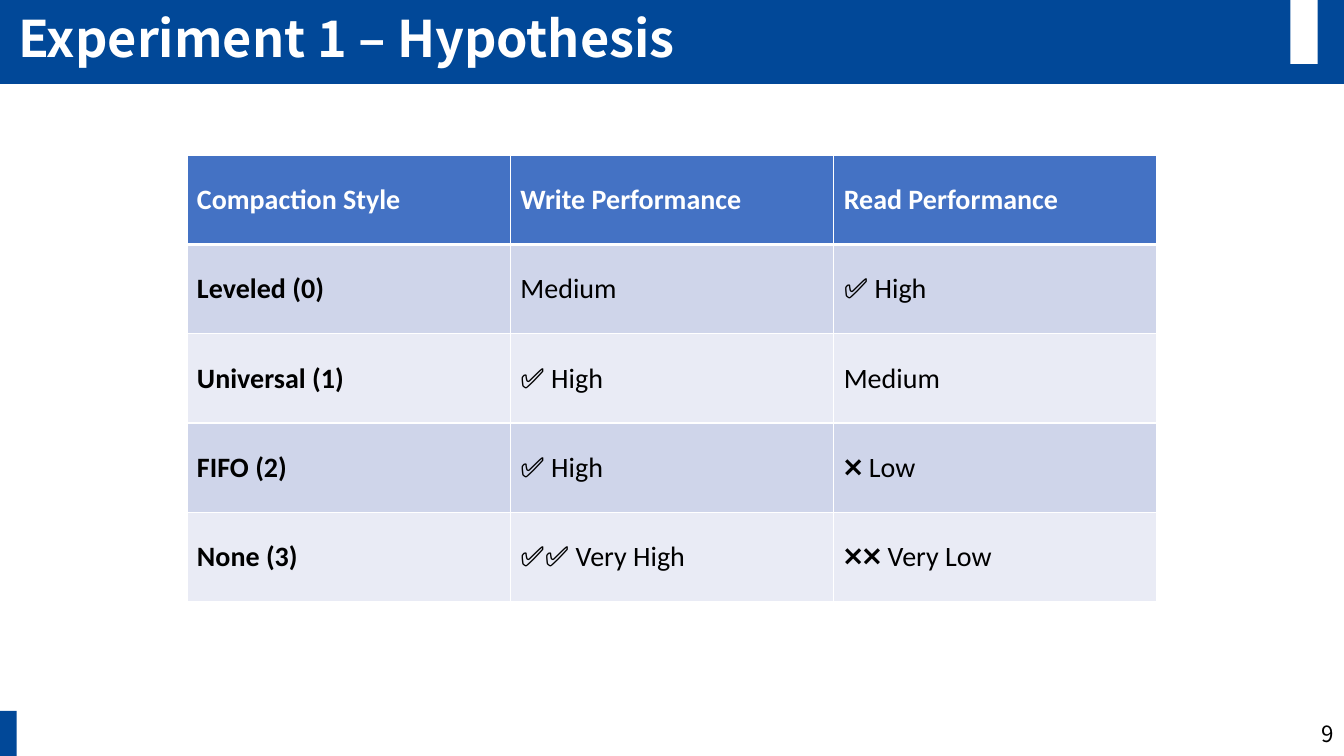
from lxml.etree import SubElement
from pptx import Presentation
from pptx.dml.color import RGBColor
from pptx.enum.shapes import MSO_SHAPE
from pptx.enum.text import MSO_ANCHOR, PP_ALIGN
from pptx.oxml.ns import qn
from pptx.util import Pt

PX = 9525  # EMU per px, 96 px to the inch
BLUE, WHITE, BLACK = "014898", "FFFFFF", "000000"
HEADER, BANDS = "4472C4", ("E9EBF5", "CFD5EA")
HEADING_FONT, TABLE_FONT = "Noto Sans CJK KR", "Calibri"


def color(hex_value):
    return RGBColor.from_string(hex_value)


def write(frame, text, font, size, ink, bold=False, anchor=MSO_ANCHOR.MIDDLE):
    """Fill a text frame or cell frame with one styled paragraph and return it."""
    frame.word_wrap = True
    frame.vertical_anchor = anchor
    paragraph = frame.paragraphs[0]
    paragraph.text = text
    paragraph.font.name = font
    paragraph.font.size = Pt(size)
    paragraph.font.bold = bold
    paragraph.font.color.rgb = color(ink)
    return paragraph


prs = Presentation()
prs.slide_width, prs.slide_height = 1280 * PX, 720 * PX
slide = prs.slides.add_slide(prs.slide_layouts[6])

# Title band, white tab and corner mark
for *box, fill in [
    (0, 0, 1280, 80, BLUE),
    (1229, 0, 26, 61, WHITE),
    (0, 677, 16, 43, BLUE),
]:
    block = slide.shapes.add_shape(MSO_SHAPE.RECTANGLE, *(v * PX for v in box))
    block.shadow.inherit = False
    block.fill.solid()
    block.fill.fore_color.rgb = color(fill)
    block.line.fill.background()

title = slide.shapes.add_textbox(8 * PX, -10 * PX, 1104 * PX, 80 * PX)
heading = write(title.text_frame, "Experiment 1 – Hypothesis", HEADING_FONT, 36,
                WHITE, bold=True, anchor=MSO_ANCHOR.BOTTOM)
heading.line_spacing = 0.9

# Expected performance of each compaction style
expectations = [
    ("Compaction Style", "Write Performance", "Read Performance"),
    ("Leveled (0)", "Medium", "✅ High"),
    ("Universal (1)", "✅ High", "Medium"),
    ("FIFO (2)", "✅ High", "❌ Low"),
    ("None (3)", "✅✅ Very High", "❌❌ Very Low"),
]
table = slide.shapes.add_table(5, 3, 178 * PX, 148 * PX, 924 * PX, 425 * PX).table

for r, row in enumerate(expectations):
    is_header = r == 0
    for c, text in enumerate(row):
        cell = table.cell(r, c)
        write(cell.text_frame, text, TABLE_FONT, 20, WHITE if is_header else BLACK,
              bold=is_header or c == 0)
        cell.vertical_anchor = MSO_ANCHOR.MIDDLE

        # Borders come before the fill in the cell properties
        properties = cell._tc.get_or_add_tcPr()
        for side in "LRTB":
            under_header = (r, side) in ((0, "B"), (1, "T"))
            border = SubElement(properties, qn(f"a:ln{side}"),
                                w=str(Pt(3 if under_header else 1)))
            SubElement(SubElement(border, qn("a:solidFill")), qn("a:srgbClr"), val=WHITE)
        cell.fill.solid()
        cell.fill.fore_color.rgb = color(HEADER if is_header else BANDS[r % 2])

page = slide.shapes.add_textbox(992 * PX, 680 * PX, 288 * PX, 38 * PX)
page_number = write(page.text_frame, "9", HEADING_FONT, 16, BLACK)
page_number.alignment = PP_ALIGN.RIGHT

prs.save("out.pptx")
